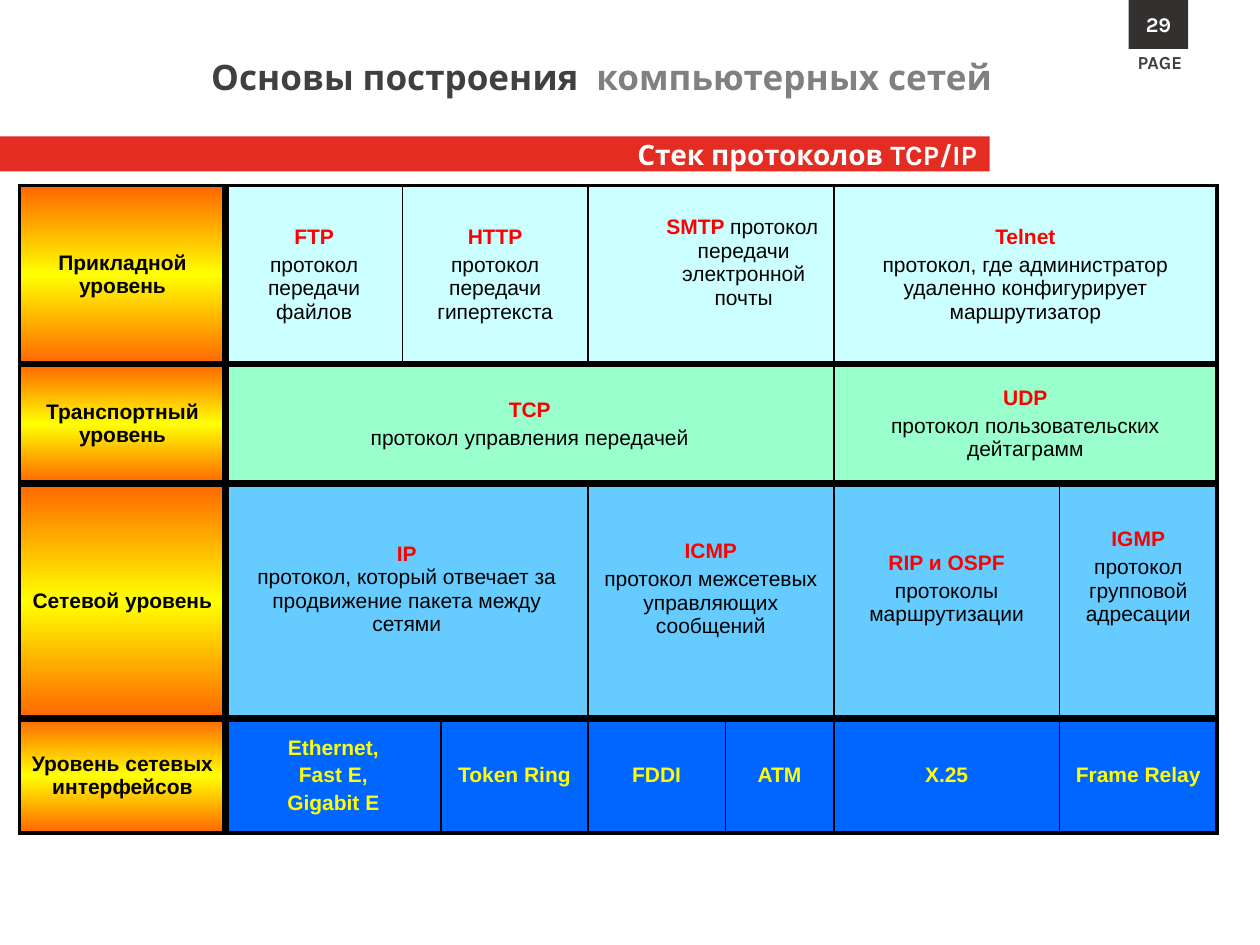
from pptx import Presentation
from pptx.dml.color import RGBColor as RGB
from pptx.enum.shapes import MSO_SHAPE
from pptx.enum.text import MSO_ANCHOR as ANCHOR, PP_ALIGN as ALIGN
from pptx.oxml import parse_xml
from pptx.util import Pt

NS = 'xmlns:a="http://schemas.openxmlformats.org/drawingml/2006/main"'
C = dict(red="E32C22", dark="333030", text="404040", grey="808080", white="FFFFFF",
         black="000000", name="FF0000", link_name="FFFF00", edge="FF6600", middle="FFFF00",
         application="CCFFFF", transport="99FFCC", network="66CCFF", link="0066FF")

COLS = [118, 101, 22, 84, 78.5, 62, 129, 90]
ROWS = [102, 68.5, 134, 65.5]
LINE = 13.8  # height of one table text line

# Each layer: heading, fill, cells of (column span, name, description, lines kept free below)
LAYERS = [
    ("Прикладной уровень", "application", [
        (1, "FTP", "протокол передачи файлов", 0),
        (2, "HTTP", "протокол передачи гипертекста", 0),
        (2, "SMTP ", "протокол передачи электронной почты", 1),
        (2, "Telnet", "протокол, где администратор удаленно конфигурирует маршрутизатор", 0)]),
    ("Транспортный уровень", "transport", [
        (5, "TCP", "протокол управления передачей", 0),
        (2, "UDP", "протокол пользовательских дейтаграмм", 0)]),
    ("Сетевой уровень", "network", [
        (3, "IP", "протокол, который отвечает за продвижение пакета между сетями", 1),
        (2, "ICMP", "протокол межсетевых управляющих сообщений", 1),
        (1, "RIP и OSPF", "протоколы маршрутизации", 1),
        (1, "IGMP", "протокол групповой адресации", 2)]),
]
LINK_HEADING = "Уровень сетевых интерфейсов"
LINK_CELLS = [(2, ["Ethernet,", "Fast Е,", "Gigabit Е"]), (1, ["Token Ring"]), (1, ["FDDI"]),
              (1, ["ATM"]), (1, ["X.25"]), (1, ["Frame Relay"])]


def write(tf, paragraphs, size, font, align, gap=0):
    """Write paragraphs, each a list of (text, colour, bold) runs."""
    for i, runs in enumerate(paragraphs):
        p = tf.paragraphs[0] if i == 0 else tf.add_paragraph()
        p.alignment = align
        if i and gap:
            p.space_before = Pt(gap)
        for text, color, bold in runs:
            r = p.add_run()
            r.text = text
            for key, value in dict(size=Pt(size), name=font, bold=bold).items():
                setattr(r.font, key, value)
            r.font.color.rgb = RGB.from_string(C[color])


def add_text(s, box, runs, size, align=ALIGN.LEFT, wrap=True):
    tf = s.shapes.add_textbox(*map(Pt, box)).text_frame
    tf.word_wrap = wrap
    write(tf, [runs], size, "Karla", align)


def add_block(s, box, fill, text, size, align):
    sp = s.shapes.add_shape(MSO_SHAPE.RECTANGLE, *map(Pt, box))
    sp.shadow.inherit = False
    sp.fill.solid()
    sp.fill.fore_color.rgb = RGB.from_string(C[fill])
    sp.line.fill.background()
    sp.text_frame.vertical_anchor = ANCHOR.MIDDLE
    write(sp.text_frame, [[(text, "white", True)]], size, "Karla", align)


def set_borders(cell, row, col, span):
    """Thick lines part the layers and headings, medium ones frame the table."""
    last_row, last_col = len(ROWS) - 1, len(COLS) - 1
    end = col + span - 1
    widths = dict(
        lnL=2.25 if col == 0 else 4.5 if col == 1 else 1,
        lnR=4.5 if end == 0 else 2.25 if end == last_col else 1,
        lnT=2.25 if row == 0 else 4.5,
        lnB=2.25 if row == last_row else 4.5)
    tc_pr = cell._tc.get_or_add_tcPr()
    for tag, width in widths.items():
        tc_pr.append(parse_xml(
            f'<a:{tag} {NS} w="{Pt(width)}"><a:solidFill><a:srgbClr val="{C["black"]}"/>'
            f'</a:solidFill></a:{tag}>'))


def set_gradient(cell):
    stops = "".join(f'<a:gs pos="{pos}000"><a:srgbClr val="{C[color]}"/></a:gs>'
                    for pos, color in ((0, "edge"), (50, "middle"), (100, "edge")))
    cell._tc.get_or_add_tcPr().append(parse_xml(
        f'<a:gradFill {NS}><a:gsLst>{stops}</a:gsLst><a:lin ang="5400000" scaled="1"/></a:gradFill>'))


def fill_cell(table, row, col, span, paragraphs, fill=None, gap=2.4, free_lines=0):
    """Fill one cell; without a fill colour it is a layer heading."""
    cell = table.cell(row, col)
    if span > 1:
        cell.merge(table.cell(row, col + span - 1))
    set_borders(cell, row, col, span)
    if fill:
        cell.fill.solid()
        cell.fill.fore_color.rgb = RGB.from_string(C[fill])
    else:
        set_gradient(cell)
    cell.vertical_anchor = ANCHOR.MIDDLE
    cell.margin_bottom = Pt(3.6 + free_lines * LINE)
    write(cell.text_frame, paragraphs, 12, "Arial", ALIGN.CENTER, gap)
    return cell


def add_heading(table, row, text):
    fill_cell(table, row, 0, 1, [[(text, "black", True)]])


def add_layer(table, row, heading, fill, cells):
    add_heading(table, row, heading)
    col = 1
    for span, name, description, free_lines in cells:
        runs = [(name, "name", True), (description, "black", False)]
        inline = name.endswith(" ")
        paragraphs = [runs] if inline else [[run] for run in runs]
        gap = 0 if name == "IP" else 2.4
        cell = fill_cell(table, row, col, span, paragraphs, fill, gap, free_lines)
        if inline:
            p_pr = cell.text_frame.paragraphs[0]._p.get_or_add_pPr()
            p_pr.set("marL", str(Pt(37.5)))
            p_pr.set("indent", str(-Pt(1.5)))
        col += span


def add_link_layer(table, row):
    add_heading(table, row, LINK_HEADING)
    col = 1
    for span, lines in LINK_CELLS:
        fill_cell(table, row, col, span, [[(t, "link_name", True)] for t in lines], "link")
        col += span


def add_stack_table(s):
    frame = s.shapes.add_table(len(ROWS), len(COLS), Pt(11), Pt(106), Pt(sum(COLS)), Pt(sum(ROWS)))
    table = frame.table
    table.first_row = table.horz_banding = False
    for column, width in zip(table.columns, COLS):
        column.width = Pt(width)
    for row, height in zip(table.rows, ROWS):
        row.height = Pt(height)
    for i, layer in enumerate(LAYERS):
        add_layer(table, i, *layer)
    add_link_layer(table, len(LAYERS))


def main():
    prs = Presentation()
    prs.slide_width, prs.slide_height = Pt(720), Pt(540)
    s = prs.slides.add_slide(prs.slide_layouts[6])
    add_block(s, (0, 78, 565.5, 20), "red", "Стек протоколов TCP/IP", 16, ALIGN.RIGHT)
    add_text(s, (643, 26, 42.5, 20), [("PAGE", "text", True)], 10.5, wrap=False)
    add_block(s, (645, 0, 34, 28), "dark", "29", 12, ALIGN.CENTER)
    add_text(s, (11, 28, 563, 31.5), [("Основы построения  ", "text", True),
                                      ("компьютерных сетей", "grey", True)], 20, ALIGN.RIGHT)
    add_stack_table(s)
    prs.save("out.pptx")


if __name__ == "__main__":
    main()
